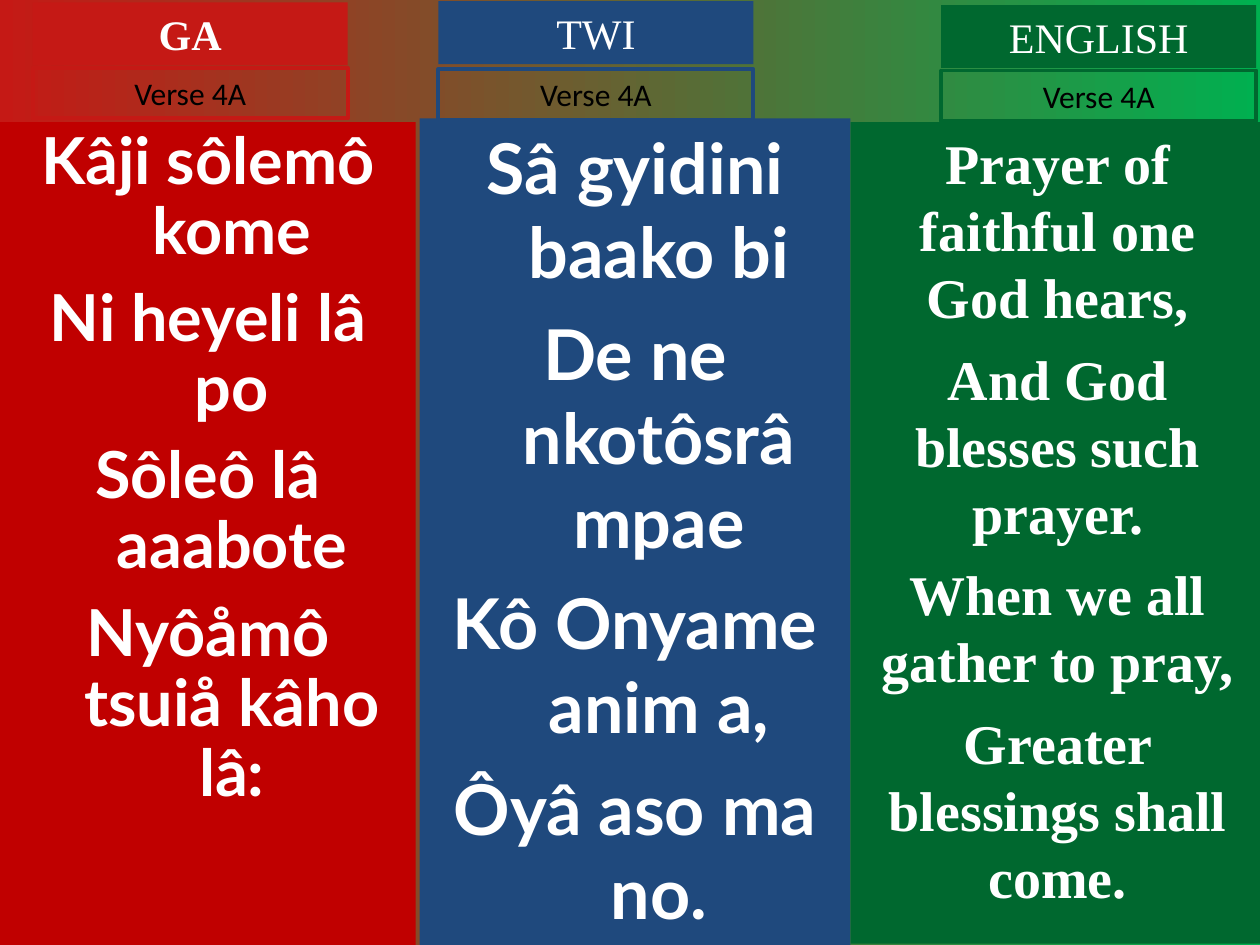
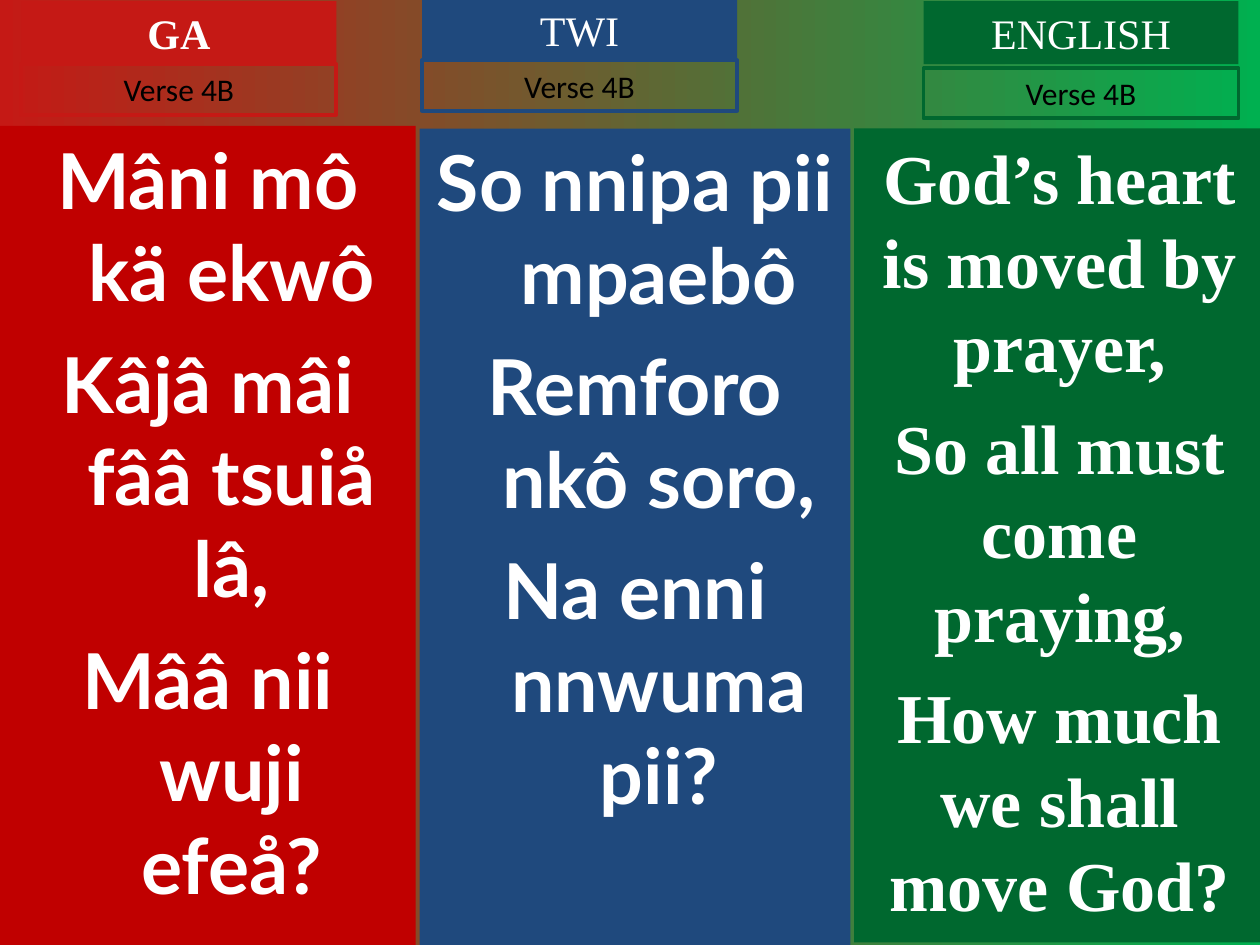
from dataclasses import dataclass

from pptx import Presentation
from pptx.dml.color import RGBColor
from pptx.enum.shapes import MSO_SHAPE
from pptx.enum.text import MSO_ANCHOR, PP_ALIGN
from pptx.util import Inches, Pt

RED = RGBColor(0xC5, 0x19, 0x15)
DARK_RED = RGBColor(0xC0, 0x00, 0x00)
BLUE = RGBColor(0x1F, 0x49, 0x7D)
GREEN = RGBColor(0x00, 0x68, 0x2F)
BRIGHT_GREEN = RGBColor(0x00, 0xB0, 0x50)
WHITE = RGBColor(0xFF, 0xFF, 0xFF)
BLACK = RGBColor(0x00, 0x00, 0x00)

SERIF = "Times New Roman"
LYRIC_FONT = "Lato"
VERSE_FONT = "Calibri"
HANGING_INDENT = Inches(0.38)
LABEL_WIDTH, NAME_HEIGHT, VERSE_HEIGHT = 2.5, 0.5, 0.4


@dataclass(frozen=True)
class Language:
    """Look of one language column."""

    name: str
    color: RGBColor
    panel_color: RGBColor
    font: str
    bold_name: bool = False
    hanging: bool = False


GA = Language("GA", RED, DARK_RED, LYRIC_FONT, bold_name=True, hanging=True)
TWI = Language("TWI", BLUE, BLUE, LYRIC_FONT, hanging=True)
ENGLISH = Language("ENGLISH", GREEN, GREEN, SERIF)


@dataclass(frozen=True)
class Column:
    """Lyrics and places of one language on one slide."""

    language: Language
    panel: tuple
    label: tuple
    verse_top: float
    size: int
    space: int
    lines: tuple
    line_spacing: float = 1.0


class HymnDeck:
    """Holds the style and the current slide."""

    def __init__(self):
        """Start an empty deck of 10 by 7.5 inches."""
        self.deck = Presentation()
        self.deck.slide_width = Inches(10)
        self.deck.slide_height = Inches(7.5)
        self.page = None

    def add_page(self):
        """Add a blank slide with the red to green background."""
        self.page = self.deck.slides.add_slide(self.deck.slide_layouts[6])
        fill = self.page.background.fill
        fill.gradient()
        fill.gradient_angle = 0
        for stop, color in zip(fill.gradient_stops, (RED, BRIGHT_GREEN)):
            stop.color.rgb = color

    def add_box(self, place, lines, font, size, color, bold=False, fill=None, border=None):
        """Add a rectangle with centred text and return its paragraphs."""
        box = self.page.shapes.add_shape(MSO_SHAPE.RECTANGLE, *map(Inches, place))
        box.shadow.inherit = False
        if fill is None:
            box.fill.background()
        else:
            box.fill.solid()
            box.fill.fore_color.rgb = fill
        if border is None:
            box.line.fill.background()
        else:
            box.line.color.rgb = border
            box.line.width = Pt(2.25)
        frame = box.text_frame
        frame.word_wrap = True
        frame.vertical_anchor = MSO_ANCHOR.TOP
        frame.text = "\n".join(lines)
        for para in frame.paragraphs:
            para.alignment = PP_ALIGN.CENTER
            for span in para.runs:
                span.font.name = font
                span.font.size = Pt(size)
                span.font.bold = bold
                span.font.color.rgb = color
        return frame.paragraphs

    def add_lyrics(self, column):
        """Add the coloured panel with the sung lines."""
        language = column.language
        paragraphs = self.add_box(column.panel, column.lines, language.font, column.size,
                                  WHITE, bold=True, fill=language.panel_color)
        for number, para in enumerate(paragraphs):
            para.line_spacing = column.line_spacing
            para.space_before = Pt(column.space if number else 0)
            if language.hanging:
                properties = para._p.get_or_add_pPr()
                properties.set("marL", str(HANGING_INDENT))
                properties.set("indent", str(-HANGING_INDENT))

    def add_labels(self, column, verse):
        """Add the language name and the outlined verse label."""
        language = column.language
        left, top = column.label
        self.add_box((left, top, LABEL_WIDTH, NAME_HEIGHT), [language.name], SERIF, 24,
                     WHITE, bold=language.bold_name, fill=language.color)
        self.add_box((left, column.verse_top, LABEL_WIDTH, VERSE_HEIGHT), [verse],
                     VERSE_FONT, 18, BLACK, border=language.color)

    def add_verse(self, verse, columns):
        """Add one slide with a column for each language."""
        self.add_page()
        for column in columns:
            self.add_lyrics(column)
            self.add_labels(column, verse)


VERSES = {
    "Verse 4A": (
        Column(GA, (0, 0.97, 3.3, 6.53), (0.26, 0.02), 0.54, 37, 10,
               ("Kâji sôlemô kome", "Ni heyeli lâ po", "Sôleô lâ aaabote",
                "Nyôåmô tsuiå kâho lâ:"), line_spacing=0.9),
        Column(TWI, (3.33, 0.94, 3.42, 6.56), (3.48, 0.01), 0.55, 40, 10,
               ("Sâ gyidini baako bi", "De ne nkotôsrâ mpae", "Kô Onyame anim a,",
                "Ôyâ aso ma no.")),
        Column(ENGLISH, (6.75, 0.97, 3.29, 6.52), (7.47, 0.04), 0.56, 32, 8,
               ("Prayer of faithful one God hears,", "And God blesses such prayer.",
                "When we all gather to pray,", "Greater blessings shall come.")),
    ),
    "Verse 4B": (
        Column(GA, (0, 1, 3.3, 6.5), (0.17, 0.01), 0.51, 44, 11,
               ("Mâni mô kä ekwô", "Kâjâ mâi fââ tsuiå lâ,", "Mââ nii wuji efeå?")),
        Column(TWI, (3.33, 1.02, 3.42, 6.48), (3.35, -0.01), 0.48, 44, 11,
               ("So nnipa pii mpaebô", "Remforo nkô soro,", "Na enni nnwuma pii?")),
        Column(ENGLISH, (6.78, 1.02, 3.26, 6.46), (7.33, 0.01), 0.54, 40, 10,
               ("God’s heart is moved by prayer,", "So all must come praying,",
                "How much we shall move God?")),
    ),
}


def main():
    """Build and save the hymn slides."""
    hymn = HymnDeck()
    for verse, columns in VERSES.items():
        hymn.add_verse(verse, columns)
    hymn.deck.save("out.pptx")


if __name__ == "__main__":
    main()
